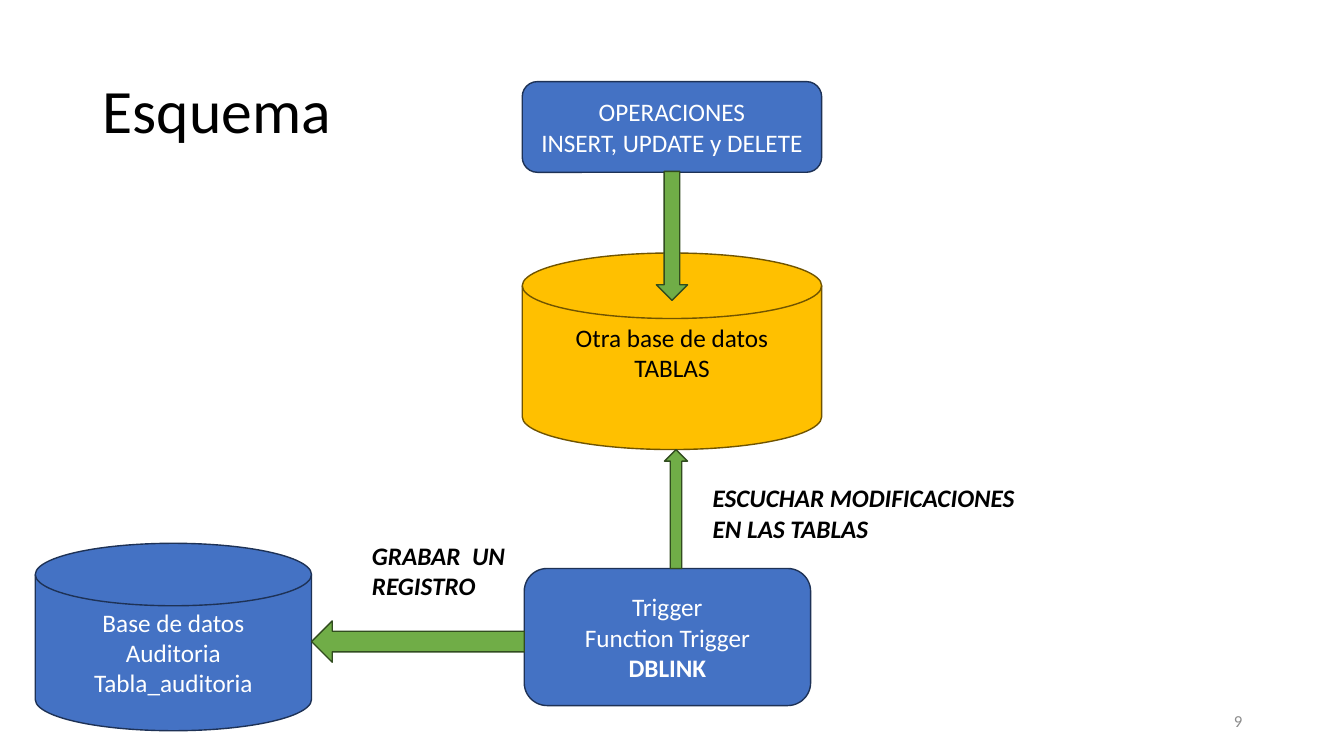
from pptx import Presentation
from pptx import util as u
from pptx.dml.color import RGBColor
from pptx.enum import shapes, text

THEME = {
    "font": "Calibri",
    "blue": ("4472C4", "1E3256"), "gold": ("FFC000", "705400"), "green": ("70AD47", "314C1F"),
    "black": "000000", "white": "FFFFFF", "grey": "8C8C8C",
    "title": 44, "body": 18, "number": 12, "line": 1,
}
KIND = shapes.MSO_SHAPE
ALIGN = text.PP_ALIGN
ANCHOR = text.MSO_ANCHOR

NODES = [
    (KIND.FLOWCHART_MAGNETIC_DISK, (0.35, 5.39, 2.74, 1.86), "blue", "white",
     ["Base de datos", "Auditoria", "Tabla_auditoria"], 0.05),
    (KIND.FLOWCHART_MAGNETIC_DISK, (5.18, 2.51, 2.97, 1.95), "gold", "black",
     ["Otra base de datos", "TABLAS"], 0.35),
    (KIND.FLOWCHART_ALTERNATE_PROCESS, (5.2, 5.64, 2.84, 1.36), "blue", "white",
     ["Trigger", "Function Trigger", "DBLINK"], 0.05),
    (KIND.ROUNDED_RECTANGLE, (5.18, 0.81, 2.97, 0.9), "blue", "white",
     ["OPERACIONES", "INSERT, UPDATE y DELETE"], 0.05),
]
BOLD_LINES = {"DBLINK"}
ARROWS = [
    (KIND.DOWN_ARROW, (6.51, 1.7, 0.31, 1.28)),
    (KIND.LEFT_ARROW, (3.09, 6.16, 2.11, 0.41)),
    (KIND.UP_ARROW, (6.59, 4.46, 0.23, 1.18)),
]
LABELS = [
    ((3.59, 5.31, 2.16, 0.71), ["GRABAR  UN REGISTRO"], True),
    ((6.97, 4.74, 3.23, 0.71), ["ESCUCHAR MODIFICACIONES", "EN LAS TABLAS"], False),
]
TITLE = ((0.92, 0.4, 11.5, 1.45), ["Esquema"])
NUMBER = ((9.42, 6.95, 3, 0.4), ["9"])


def rgb(value):
    return RGBColor.from_string(value)


def write(sp, lines, size, color, align=ALIGN.LEFT, anchor=ANCHOR.MIDDLE,
          bold=False, italic=False, wrap=True):
    tf = sp.text_frame
    tf.text = "\n".join(lines)
    tf.word_wrap = wrap
    tf.vertical_anchor = anchor
    for p in tf.paragraphs:
        p.alignment = align
        for r in p.runs:
            r.font.name = THEME["font"]
            r.font.size = u.Pt(THEME[size])
            r.font.color.rgb = rgb(THEME[color])
            r.font.bold = bold or r.text in BOLD_LINES
            r.font.italic = italic
    return tf


def add_box(s, at):
    return s.shapes.add_textbox(*map(u.Inches, at))


def add_figure(s, kind, at, palette):
    sp = s.shapes.add_shape(kind, *map(u.Inches, at))
    fill, line = THEME[palette]
    sp.shadow.inherit = False
    sp.fill.solid()
    sp.fill.fore_color.rgb = rgb(fill)
    sp.line.color.rgb = rgb(line)
    sp.line.width = u.Pt(THEME["line"])
    return sp


def main():
    prs = Presentation()
    prs.slide_width, prs.slide_height = u.Inches(13.33), u.Inches(7.5)
    s = prs.slides.add_slide(prs.slide_layouts[6])

    at, lines = TITLE
    tf = write(add_box(s, at), lines, "title", "black")
    tf.paragraphs[0].line_spacing = 0.9
    at, lines = NUMBER
    write(add_box(s, at), lines, "number", "grey", ALIGN.RIGHT)

    for kind, at, palette, color, lines, bottom in NODES:
        sp = add_figure(s, kind, at, palette)
        tf = write(sp, lines, "body", color, ALIGN.CENTER)
        tf.margin_bottom = u.Inches(bottom)
    for kind, at in ARROWS:
        add_figure(s, kind, at, "green")
    for at, lines, wrap in LABELS:
        write(add_box(s, at), lines, "body", "black", anchor=ANCHOR.TOP,
              bold=True, italic=True, wrap=wrap)

    prs.save("out.pptx")


if __name__ == "__main__":
    main()
